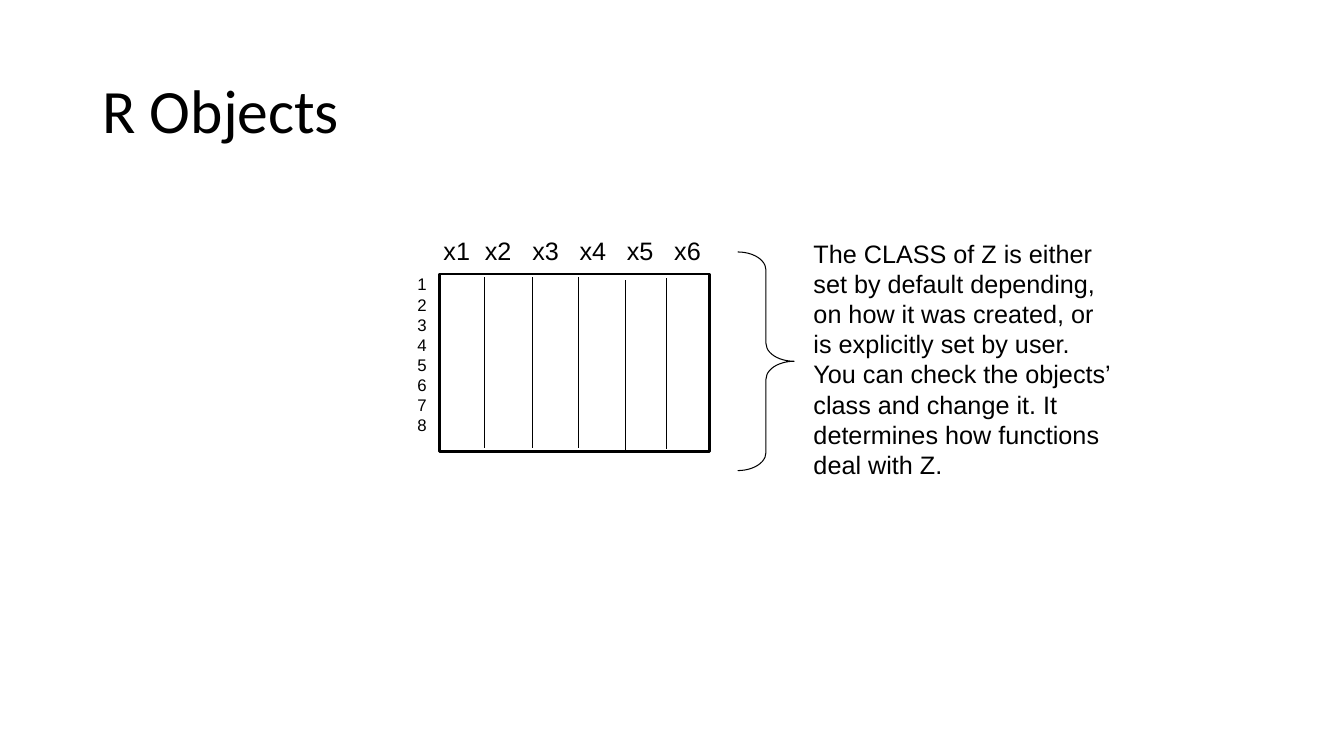
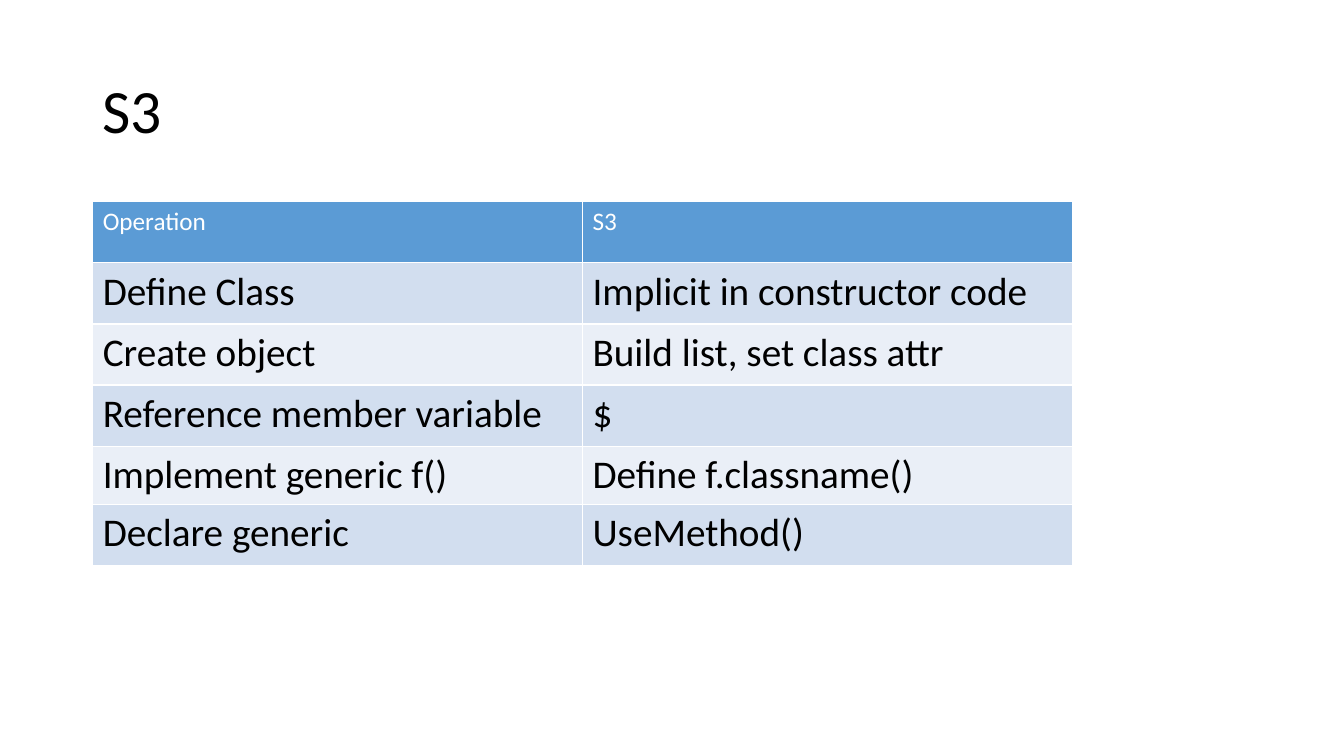
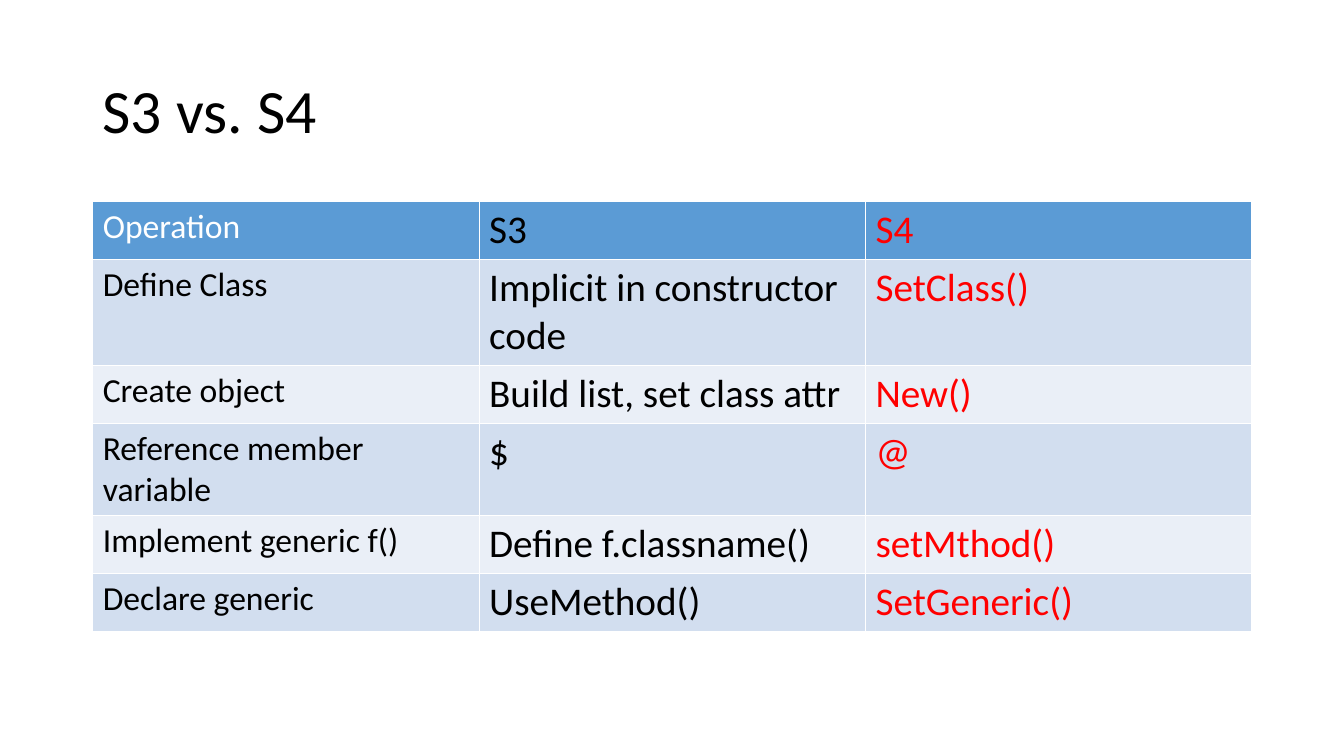
from lxml.etree import SubElement as Sub
from pptx import Presentation
from pptx.dml.color import RGBColor as Rgb
from pptx.enum.shapes import MSO_CONNECTOR as Link, MSO_SHAPE as Shape
from pptx.enum.text import MSO_ANCHOR as Anchor
from pptx.oxml.ns import qn
from pptx.util import Pt

HUES = {
    "ink": "000000",
    "paper": "FFFFFF",
    "head": "5B9BD5",
    "odd": "D2DEEF",
    "even": "EAEFF7",
    "new": "FF0000",
}
LEFT = 66.24


def hue(name):
    return Rgb.from_string(HUES[name])


class Deck:
    def __init__(self):
        self.prs = Presentation()
        self.prs.slide_width, self.prs.slide_height = Pt(960), Pt(540)

    def start(self, title):
        """Add a slide with its title."""
        self.slide = self.prs.slides.add_slide(self.prs.slide_layouts[6])
        self.shapes = self.slide.shapes
        box = self.shapes.add_textbox(Pt(LEFT), Pt(28.8), Pt(828), Pt(104.4))
        frame = box.text_frame
        frame.word_wrap = True
        frame.vertical_anchor = Anchor.MIDDLE
        self.style(frame, title, 44).line_spacing = 0.9

    def style(self, frame, text, size, color="ink", face="Calibri"):
        """Set and format the text of a frame; return its paragraph."""
        par = frame.paragraphs[0]
        par.text = text
        for run in par.runs:
            font = run.font
            font.name, font.size, font.bold = face, Pt(size), False
            font.color.rgb = hue(color)
        return par

    def label(self, text, left, top, width, height, size, tabs=()):
        """Add Arial text with small margins and optional tab stops."""
        box = self.shapes.add_textbox(Pt(left), Pt(top), Pt(width), Pt(height))
        frame = box.text_frame
        frame.word_wrap = True
        frame.margin_left = frame.margin_right = Pt(2.9)
        frame.margin_top = frame.margin_bottom = 0
        par = self.style(frame, text, size, face="Arial")
        par.line_spacing = Pt(size * 1.2)
        if tabs:
            stops = Sub(par._p.get_or_add_pPr(), qn("a:tabLst"))
            for pos in tabs:
                Sub(stops, qn("a:tab"), pos=str(int(Pt(pos))), algn="l")

    def shape(self, kind, left, top, width, height, line, fill=None):
        item = self.shapes.add_shape(kind, Pt(left), Pt(top), Pt(width), Pt(height))
        item.shadow.inherit = False
        item.line.color.rgb = hue("ink")
        item.line.width = Pt(line)
        if fill:
            item.fill.solid()
            item.fill.fore_color.rgb = hue(fill)
        else:
            item.fill.background()
        return item

    def rule(self, left, top, height):
        """Draw a thin upright line."""
        line = self.shapes.add_connector(
            Link.STRAIGHT, Pt(left), Pt(top), Pt(left), Pt(top + height))
        line.line.color.rgb = hue("ink")
        line.line.width = Pt(0.75)
        Sub(line._element.spPr, qn("a:effectLst"))

    def edge(self, cell):
        """Give a cell thin white borders."""
        props = cell._tc.get_or_add_tcPr()
        for side in ("lnL", "lnR", "lnT", "lnB"):
            line = Sub(props, qn("a:" + side), w=str(int(Pt(1))))
            fill = Sub(line, qn("a:solidFill"))
            Sub(fill, qn("a:srgbClr"), val=HUES["paper"])

    def table(self, rows, width, highs, head, body):
        """Add a table; head and body hold a (size, colour) per column."""
        count = len(rows[0])
        grid = self.shapes.add_table(
            len(rows), count, Pt(LEFT), Pt(144),
            Pt(width * count), Pt(sum(highs))).table
        for col in grid.columns:
            col.width = Pt(width)
        for r, (texts, high) in enumerate(zip(rows, highs)):
            grid.rows[r].height = Pt(high)
            band = "head" if r == 0 else ("even", "odd")[r % 2]
            for c, (text, look) in enumerate(zip(texts, body if r else head)):
                cell = grid.cell(r, c)
                self.edge(cell)
                cell.fill.solid()
                cell.fill.fore_color.rgb = hue(band)
                self.style(cell.text_frame, text, *look)


BASE = [
    ("Operation", "S3"),
    ("Define Class", "Implicit in constructor code"),
    ("Create object", "Build list, set class attr"),
    ("Reference member variable", "$"),
    ("Implement generic f()", "Define f.classname()"),
    ("Declare generic", "UseMethod()"),
]
ADDED = ["S4", "SetClass()", "New()", "@", "setMthod()", "SetGeneric()"]
NOTE = ("The CLASS of Z is either set by default depending, on how it was "
        "created, or is explicitly set by user. You can check the objects’ "
        "class and change it. It determines how functions deal with Z.")


def main():
    deck = Deck()

    deck.start("R Objects")
    brace = deck.shape(Shape.RIGHT_BRACE, 527, 180, 40.3, 156.2, 0.75)
    brace.adjustments[0] = 0.32
    deck.label(NOTE, 578.2, 169.9, 220.3, 177.8, 18)
    deck.shape(Shape.RECTANGLE, 313.9, 195.8, 193, 126.7, 2, "paper")
    for left, top in ((345.9, 198), (380.2, 198), (413.3, 198),
                      (447.1, 200.2), (475.9, 198.7)):
        deck.rule(left, top, 121.7)
    names = "\t".join(f"x{n}" for n in range(1, 7))
    tabs = [29.6 + 33.8 * n for n in range(5)]
    deck.label(names, 313.9, 167.8, 211.7, 20.2, 18, tabs)
    lines = "\n".join(str(n) for n in range(1, 9))
    deck.label(lines, 295.2, 195.8, 31, 112.3, 12)

    deck.start("S3")
    deck.table(BASE, 349.9, [43.7] * 4 + [41.4, 43.7],
               [(18, "paper")] * 2, [(28, "ink")] * 2)

    deck.start("S3 vs. S4")
    rows = [(*row, more) for row, more in zip(BASE, ADDED)]
    rest = [(28, "ink"), (28, "new")]
    deck.table(rows, 276, [41.4, 75.6, 41.4, 65.8, 41.4, 41.4],
               [(24, "paper"), *rest], [(24, "ink"), *rest])

    deck.prs.save("out.pptx")


if __name__ == "__main__":
    main()
